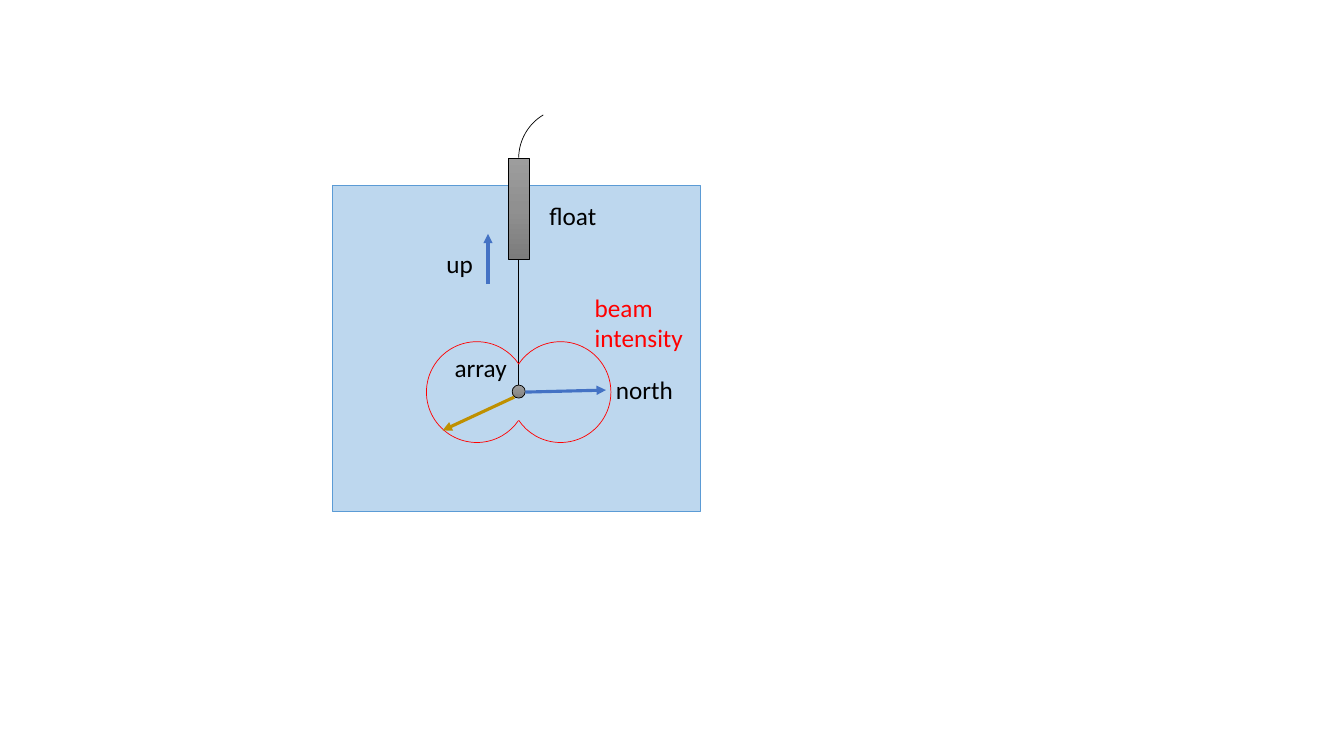
from copy import deepcopy
from pptx import Presentation
from pptx.dml.color import RGBColor
from pptx.enum import shapes as sh, text as tx
from pptx.oxml import ns, xmlchemy
from pptx.util import Inches, Pt

BLACK = RGBColor(0x00, 0x00, 0x00)
RED = RGBColor(0xFF, 0x00, 0x00)
BLUE = RGBColor(0x44, 0x72, 0xC4)
GOLD = RGBColor(0xBF, 0x90, 0x00)
WATER = RGBColor(0xBD, 0xD7, 0xEE)
SHORE = RGBColor(0x5B, 0x9B, 0xD5)
METAL = (RGBColor(0x9D, 0x9D, 0x9D), RGBColor(0x90, 0x90, 0x90),
         RGBColor(0x7C, 0x7C, 0x7C))
KIND = sh.MSO_SHAPE


def add_part(host, kind, box, edge):
    part = host.add_shape(kind, *map(Inches, box))
    part.shadow.inherit = False
    part.line.color.rgb = edge
    part.line.width = Pt(0.5)
    return part


def add_arc(host, box, start, end, edge, flip=False):
    """Draw an open arc between two clockwise angles in degrees."""
    arc = add_part(host, KIND.ARC, box, edge)
    arc.fill.background()
    # One adjustment unit is 100000/60000 of a degree.
    arc.adjustments[0], arc.adjustments[1] = start * 0.6, end * 0.6
    if flip:
        arc._element.spPr.xfrm.set("flipH", "1")


def fill_metal(part):
    """Shade a part from light at the top to dark at the bottom."""
    part.fill.gradient()
    part.fill.gradient_angle = 270
    stops = part._element.spPr.find(ns.qn("a:gradFill")).find(ns.qn("a:gsLst"))
    stops.insert(1, deepcopy(stops[0]))
    for i, (stop, tone) in enumerate(zip(part.fill.gradient_stops, METAL)):
        stop.position = i / 2
        stop.color.rgb = tone


def add_line(host, start, end, color, width=0.5):
    line = host.add_connector(sh.MSO_CONNECTOR.STRAIGHT,
                              *map(Inches, start + end))
    line.line.color.rgb = color
    line.line.width = Pt(width)
    line._element.spPr.append(xmlchemy.OxmlElement("a:effectLst"))
    return line


def add_arrow(host, start, end, color):
    arrow = add_line(host, start, end, color, 2.25)
    tail = xmlchemy.OxmlElement("a:tailEnd")
    tail.set("type", "triangle")
    arrow.line._get_or_add_ln().append(tail)


def add_label(host, words, box, color=BLACK):
    frame = host.add_textbox(*map(Inches, box)).text_frame
    frame.word_wrap = False
    frame.auto_size = tx.MSO_AUTO_SIZE.SHAPE_TO_FIT_TEXT
    frame.text = words
    for para in frame.paragraphs:
        para.font.size = Pt(18)
        para.font.name = "Calibri"
        para.font.color.rgb = color


def draw_water(host, box):
    water = add_part(host, KIND.RECTANGLE, box, SHORE)
    water.fill.solid()
    water.fill.fore_color.rgb = WATER


def draw_float(host, box):
    """Draw the float with its antenna, label and up arrow."""
    x, y, w, h = box
    buoy = add_part(host, KIND.RECTANGLE, box, BLACK)
    fill_metal(buoy)
    add_arc(host, (x + w / 2, y - 0.5, 1, 1), 180.57, 239.14, BLACK)
    add_arrow(host, (x - 0.2, y + 1.25), (x - 0.2, y + 0.75), BLUE)
    add_label(host, "up", (x - 0.71, y + 0.84, 0.47, 0.4))
    add_label(host, "float", (x + 0.31, y + 0.37, 0.67, 0.4))
    return buoy


def draw_array(host, box, buoy):
    """Draw the array, its tether to the float, its beam and directions."""
    x, y, w, h = box
    node = add_part(host, KIND.OVAL, box, BLACK)
    fill_metal(node)
    mid = x + w / 2
    tether = add_line(host, (mid, y), (mid, y - 1.25), BLACK)
    tether.begin_connect(node, 0)
    tether.end_connect(buoy, 2)

    beam = host.add_group_shape().shapes
    for left, flip in ((x - 0.02, False), (x - 0.85, True)):
        add_arc(beam, (left, y - 0.43, 1, 1), 213.65, 145.74, RED, flip)

    add_arrow(host, (x + 0.02, y + 0.12), (x - 0.69, y + 0.45), GOLD)
    add_arrow(host, (x + w, y + 0.07), (x + w + 0.8, y + 0.05), BLUE)
    add_label(host, "array", (x - 0.67, y - 0.37, 0.72, 0.4))
    add_label(host, "beam\nintensity", (x + 0.72, y - 0.97, 1.09, 0.71), RED)
    add_label(host, "north", (x + 0.93, y - 0.16, 0.77, 0.4))


def main():
    deck = Presentation()
    deck.slide_width, deck.slide_height = Inches(13.33), Inches(7.5)
    host = deck.slides.add_slide(deck.slide_layouts[6]).shapes
    draw_water(host, (3.3, 1.84, 3.65, 3.23))
    buoy = draw_float(host, (5.04, 1.57, 0.21, 1))
    draw_array(host, (5.08, 3.82, 0.13, 0.13), buoy)
    deck.save("out.pptx")


if __name__ == "__main__":
    main()
